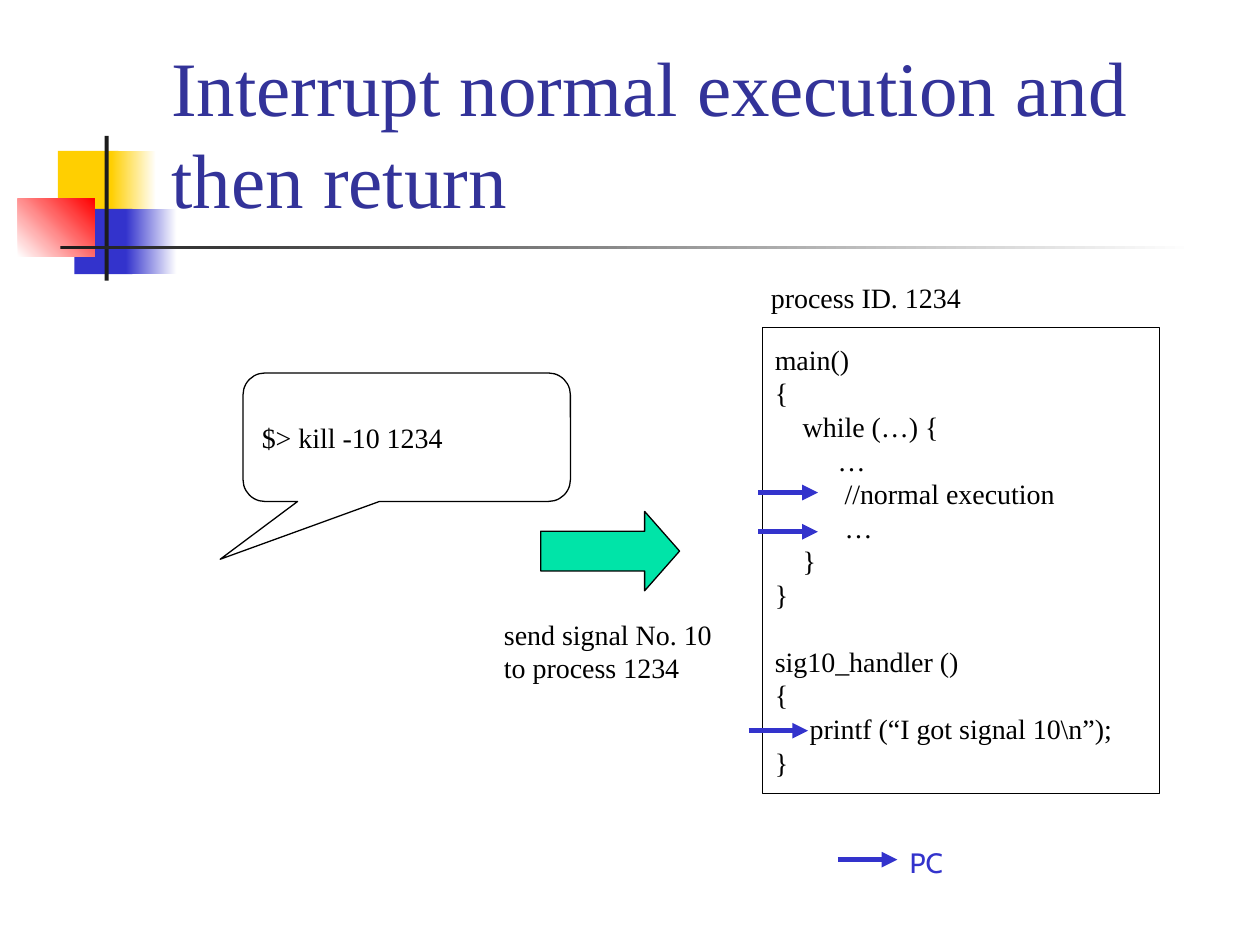
from lxml.etree import SubElement
from pptx import Presentation
from pptx.dml.color import RGBColor
from pptx.enum.shapes import MSO_CONNECTOR as Connector, MSO_SHAPE as Shape
from pptx.enum.text import MSO_ANCHOR as Anchor, PP_ALIGN as Align
from pptx.oxml.ns import qn
from pptx.util import Cm, Pt

SERIF = "Times New Roman"
BLACK, WHITE, CHARCOAL = "000000", "FFFFFF", "1C1C1C"
BLUE, NAVY, YELLOW, RED, GREEN = "3333CC", "333399", "FFCF01", "FF0000", "00E4A8"

CODE = [
    "main()",
    "{",
    "    while (…) {",
    "         …",
    "          //normal execution",
    "          …",
    "    }",
    "}",
    "sig10_handler ()",
    "{",
    "     printf (“I got signal 10\\n”);",
    "}",
]


def rgb(color):
    return RGBColor.from_string(color)


def write(shape, lines, font=SERIF, color=BLACK, size=16, anchor=Anchor.TOP):
    frame = shape.text_frame
    frame.word_wrap = True
    frame.vertical_anchor = anchor
    frame.text = "\n".join(lines)
    for para in frame.paragraphs:
        para.alignment = Align.LEFT
        para.font.name = font
        para.font.size = Pt(size)
        para.font.color.rgb = rgb(color)
    return frame


def add_label(page, left, top, width, height, lines, **style):
    box = page.shapes.add_textbox(Cm(left), Cm(top), Cm(width), Cm(height))
    write(box, lines, **style)


def add_outlined(page, kind, left, top, width, height, fill=None):
    shape = page.shapes.add_shape(kind, Cm(left), Cm(top), Cm(width), Cm(height))
    shape.shadow.inherit = False
    if fill:
        shape.fill.solid()
        shape.fill.fore_color.rgb = rgb(fill)
    else:
        shape.fill.background()
    shape.line.color.rgb = rgb(BLACK)
    shape.line.width = Pt(0.75)
    return shape


def add_block(page, left, top, width, height, start, end=None, angle=0):
    """Borderless rectangle, plain or fading from start to end."""
    block = page.shapes.add_shape(
        Shape.RECTANGLE, Cm(left), Cm(top), Cm(width), Cm(height))
    block.shadow.inherit = False
    block.line.fill.background()
    if end is None:
        block.fill.solid()
        block.fill.fore_color.rgb = rgb(start)
        return
    block.fill.gradient()
    block.fill.gradient_angle = angle
    for stop, color, position in zip(block.fill.gradient_stops, (start, end), (0, 1)):
        stop.color.rgb = rgb(color)
        stop.position = position


def add_pc_arrow(page, left, top, length=1.2):
    """Program counter arrow."""
    arrow = page.shapes.add_connector(
        Connector.STRAIGHT, Cm(left), Cm(top), Cm(left + length), Cm(top))
    arrow.line.color.rgb = rgb(BLUE)
    arrow.line.width = Pt(3)
    SubElement(arrow.line._get_or_add_ln(), qn("a:tailEnd"), type="triangle")
    SubElement(arrow._element.spPr, qn("a:effectLst"))


def add_ornament(page, left, top):
    for x, y, width, height, *colors in (
        (0.81, 0.3, 1.22, 1.32, YELLOW),
        (1.88, 0.3, 0.91, 1.32, YELLOW, WHITE),
        (1.14, 1.47, 1.17, 1.32, BLUE),
        (2.18, 1.47, 1.02, 1.32, BLUE, WHITE),
        (0, 1.27, 1.55, 1.17, WHITE, RED, 45),
        (1.75, 0, 0.08, 2.92, CHARCOAL),
        (0.86, 2.21, 22.86, 0.08, CHARCOAL, WHITE),
    ):
        add_block(page, left + x, top + y, width, height, *colors)


def place_title(page, left, top, width, height):
    title = page.shapes.title
    title.left, title.top = Cm(left), Cm(top)
    title.width, title.height = Cm(width), Cm(height)
    write(title, ["Interrupt normal execution and then return"],
          color=NAVY, size=44, anchor=Anchor.BOTTOM)
    page.shapes._spTree.append(title._element)  # in front of the ornament


def add_process(page, left, top, width, height):
    listing = add_outlined(page, Shape.RECTANGLE, left, top, width, height)
    frame = write(listing, CODE, anchor=Anchor.MIDDLE)
    frame.paragraphs[CODE.index("sig10_handler ()")].space_before = Pt(19)
    add_label(page, left - 0.08, top - 1.06, 4.4, 0.94, ["process ID. 1234"])
    for x, y in ((-0.08, 3.33), (-0.08, 4.12), (-0.28, 8.13)):
        add_pc_arrow(page, left + x, top + y)


def add_legend(page, left, top):
    add_pc_arrow(page, left, top + 0.41)
    add_label(page, left + 1.2, top, 1.17, 0.94, ["PC"], font="Cabin", color=BLUE)


def add_command(page, left, top, width, height):
    callout = add_outlined(
        page, Shape.ROUNDED_RECTANGULAR_CALLOUT, left, top, width, height)
    for index, value in enumerate((-0.57, 0.95, 0.17)):
        callout.adjustments[index] = value
    write(callout, ["$> kill -10 1234"], anchor=Anchor.MIDDLE)


def add_signal(page, left, top):
    arrow = add_outlined(
        page, Shape.RIGHT_ARROW, left + 0.99, top, 2.8, 1.6, GREEN)
    arrow.adjustments[1] = 0.44
    add_label(page, left, top + 2.01, 4.72, 1.63,
              ["send signal No. 10", "to process 1234"])


def main():
    deck = Presentation()
    deck.slide_width, deck.slide_height = Cm(25.4), Cm(19.05)
    page = deck.slides.add_slide(deck.slide_layouts[5])
    add_ornament(page, 0.36, 2.74)
    place_title(page, 3.2, 0.58, 21.64, 4.06)
    add_process(page, 15.37, 6.6, 8, 9.4)
    add_legend(page, 16.89, 16.92)
    add_command(page, 4.9, 7.52, 6.6, 2.59)
    add_signal(page, 9.91, 10.31)
    deck.save("out.pptx")


if __name__ == "__main__":
    main()
